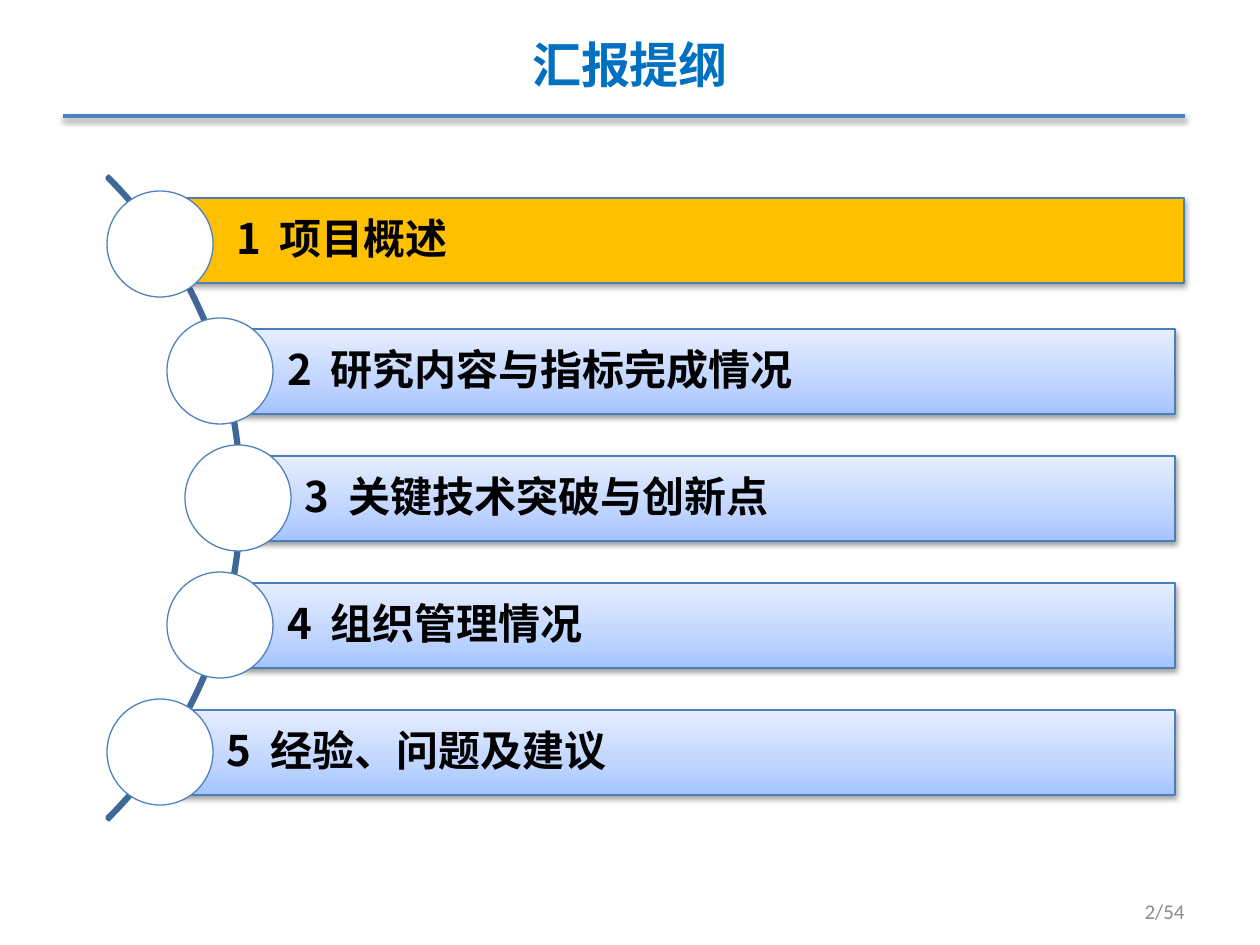
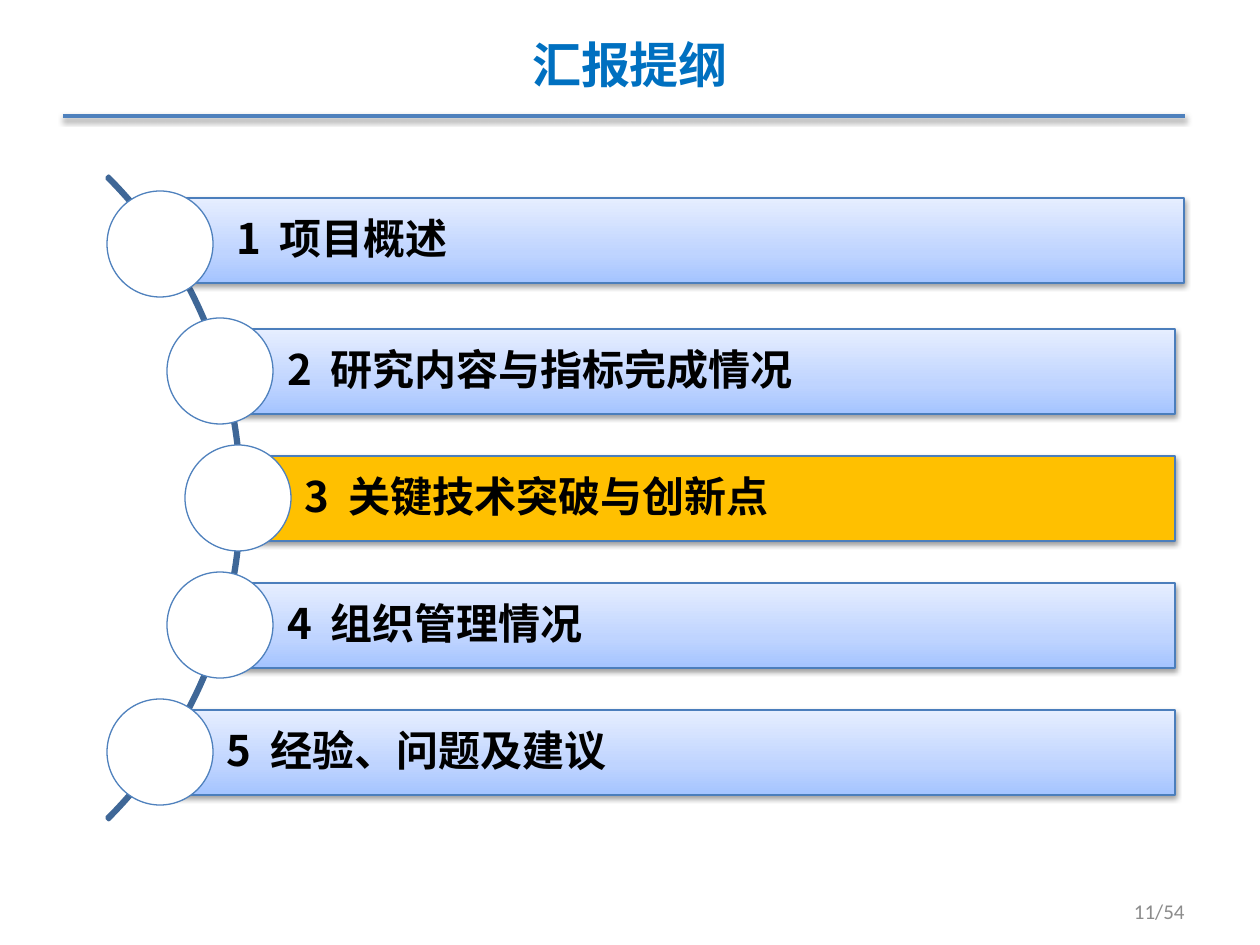
import copy
import math
from lxml import etree
from pptx import Presentation, util as u
from pptx.dml.color import RGBColor
from pptx.enum import shapes, text
from pptx.oxml import ns

TITLE = "汇报提纲"
TOPICS = ["项目概述", "研究内容与指标完成情况", "关键技术突破与创新点", "组织管理情况", "经验、问题及建议"]
SLIDES = [
    {"active": 0, "page": "2/54"},
    {"active": 2, "page": "11/54"},
]

CJK, LATIN = "Noto Sans CJK SC", "Calibri"
BLUE, BLACK, GRAY, WHITE = "0070C0", "000000", "8C8C8C", "FFFFFF"
ACCENT, BAR_EDGE, ARC_EDGE, HIGHLIGHT = "4F81BD", "4B7EBC", "3F6797", "FFC000"
BAR_STOPS = [(0, "A4C4FF"), (0.35, "BFD4FF"), (1, "E6EEFF")]

PX = 914400 // 126
ARC_X, ARC_Y, ARC_R = -213, 498, 455
NODE_TRACK, NODE_R, STEP = 451, 53, 127
BAR_RIGHT, BAR_H = 1175, 85
FIRST_BAR_SHIFT = (9, -4)


def px(*values):
    return [u.Emu(v * PX) for v in values]


def rgb(hex_color):
    return RGBColor.from_string(hex_color)


def set_line(sp, color, width):
    sp.line.color.rgb = rgb(color)
    sp.line.width = u.Pt(width)


def set_effects(sp, shadow):
    spPr = sp._element.spPr
    for old in spPr.findall(ns.qn("a:effectLst")):
        spPr.remove(old)
    effects = etree.SubElement(spPr, ns.qn("a:effectLst"))
    if shadow:
        outer = etree.SubElement(effects, ns.qn("a:outerShdw"), blurRad="40000", dist="20000",
                                 dir="5400000", rotWithShape="0")
        color = etree.SubElement(outer, ns.qn("a:srgbClr"), val=BLACK)
        etree.SubElement(color, ns.qn("a:alpha"), val="38000")


def add_text(p, content, size=24, color=BLACK, font=CJK, bold=False, spacing=0):
    r = p.add_run()
    r.text = content
    r.font.size = u.Pt(size)
    r.font.bold = bold
    r.font.color.rgb = rgb(color)
    r.font.name = font
    rPr = r.font._element
    rPr.find(ns.qn("a:latin")).addnext(rPr.makeelement(ns.qn("a:ea"), {"typeface": font}))
    if spacing:
        rPr.set("spc", str(spacing))


def add_shape(s, kind, box, line, width, fill=None, shadow=False):
    sp = s.shapes.add_shape(kind, *px(*box))
    if fill:
        sp.fill.solid()
        sp.fill.fore_color.rgb = rgb(fill)
    else:
        sp.fill.background()
    set_line(sp, line, width)
    set_effects(sp, shadow)
    return sp


def fill_gradient(sp):
    sp.fill.gradient()
    sp.fill.gradient_angle = 90
    stops = sp._element.spPr.find(".//" + ns.qn("a:gsLst"))
    stops.append(copy.deepcopy(stops[0]))
    for stop, (position, color) in zip(sp.fill.gradient_stops, BAR_STOPS):
        stop.position = position
        stop.color.rgb = rgb(color)


def add_topic(s, i, topic, active):
    dy = (i - len(TOPICS) // 2) * STEP
    x = ARC_X + round(math.sqrt(NODE_TRACK ** 2 - dy ** 2))
    y = ARC_Y + dy
    shift_x, shift_y = (0, 0) if i else FIRST_BAR_SHIFT
    box = (x + shift_x, y - BAR_H // 2 + shift_y, BAR_RIGHT - x, BAR_H)
    bar = add_shape(s, shapes.MSO_SHAPE.RECTANGLE, box, BAR_EDGE, 0.75, HIGHLIGHT, shadow=True)
    if not active:
        fill_gradient(bar)
    tf = bar.text_frame
    tf.word_wrap = True
    tf.vertical_anchor = text.MSO_ANCHOR.MIDDLE
    tf.margin_left, tf.margin_top, tf.margin_right, tf.margin_bottom = px(67, 9, 9, 9)
    p = tf.paragraphs[0]
    p.alignment = text.PP_ALIGN.LEFT
    p.line_spacing = 0.9
    add_text(p, str(i + 1), bold=True)
    add_text(p, " ", bold=True, spacing=540)
    add_text(p, topic, bold=True)
    node = (x - NODE_R, y - NODE_R, 2 * NODE_R, 2 * NODE_R)
    add_shape(s, shapes.MSO_SHAPE.OVAL, node, ACCENT, 0.75, WHITE)


def add_frame(s, page):
    title = s.shapes.title
    title.left, title.top, title.width, title.height = px(63, 25, 1134, 77)
    title.text_frame.vertical_anchor = text.MSO_ANCHOR.MIDDLE
    p = title.text_frame.paragraphs[0]
    p.alignment = text.PP_ALIGN.CENTER
    add_text(p, TITLE, size=28, color=BLUE, bold=True)

    rule = s.shapes.add_connector(shapes.MSO_CONNECTOR.STRAIGHT, *px(63, 116, 1185, 116))
    set_line(rule, ACCENT, 2)
    set_effects(rule, True)

    tf = s.shapes.add_textbox(*px(903, 895, 294, 32)).text_frame
    tf.word_wrap = True
    tf.vertical_anchor = text.MSO_ANCHOR.MIDDLE
    p = tf.paragraphs[0]
    p.alignment = text.PP_ALIGN.RIGHT
    add_text(p, page, size=12, color=GRAY, font=LATIN)


def add_outline(s, active):
    box = (ARC_X - ARC_R, ARC_Y - ARC_R, 2 * ARC_R, 2 * ARC_R)
    arc = add_shape(s, shapes.MSO_SHAPE.BLOCK_ARC, box, ARC_EDGE, 2)
    for i, value in enumerate((189, 27, 0.003)):
        arc.adjustments[i] = value
    for i, topic in enumerate(TOPICS):
        add_topic(s, i, topic, i == active)


def main():
    prs = Presentation()
    prs.slide_width, prs.slide_height = u.Inches(10), u.Inches(7.5)
    for slide in SLIDES:
        s = prs.slides.add_slide(prs.slide_layouts[5])
        add_outline(s, slide["active"])
        add_frame(s, slide["page"])
    prs.save("out.pptx")


if __name__ == "__main__":
    main()
